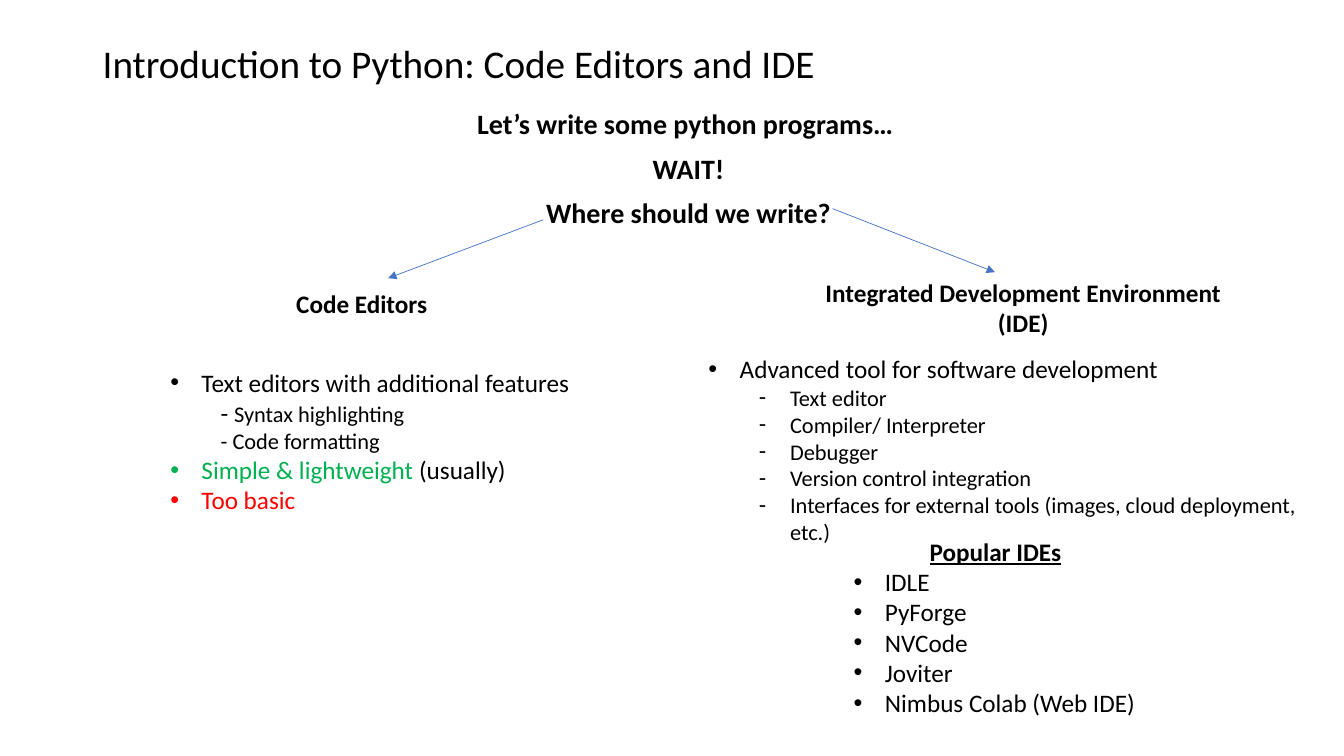
"""Build a slide that compares code editors with integrated development environments."""
from dataclasses import dataclass

from lxml import etree
from pptx import Presentation
from pptx.dml.color import RGBColor
from pptx.enum.shapes import MSO_CONNECTOR
from pptx.enum.text import MSO_ANCHOR, MSO_AUTO_SIZE, PP_ALIGN
from pptx.oxml.ns import qn
from pptx.util import Inches, Pt

BLACK = RGBColor(0x00, 0x00, 0x00)
GREEN = RGBColor(0x00, 0xB0, 0x50)
RED = RGBColor(0xFF, 0x00, 0x00)
BLUE = RGBColor(0x44, 0x72, 0xC4)
LEFT, CENTER = PP_ALIGN.LEFT, PP_ALIGN.CENTER
TOP, MIDDLE = MSO_ANCHOR.TOP, MSO_ANCHOR.MIDDLE
FIT, FIXED = MSO_AUTO_SIZE.SHAPE_TO_FIT_TEXT, MSO_AUTO_SIZE.NONE
STRAIGHT = MSO_CONNECTOR.STRAIGHT
FONT = "Calibri"
SLIDE_WIDTH, SLIDE_HEIGHT = Inches(13.333), Inches(7.5)
COLUMN, ROW = SLIDE_WIDTH / 100, SLIDE_HEIGHT / 100


@dataclass(frozen=True)
class Span:
    text: str
    size: int = 18
    color: RGBColor = BLACK
    bold: bool = False
    underline: bool = False


@dataclass(frozen=True)
class Para:
    spans: tuple[Span, ...]
    align: PP_ALIGN = LEFT
    bullet: str = ""
    level: int = 0
    margin: float = 0
    hanging: float = 0
    line_spacing: float = 1
    space_before: int = 0


@dataclass(frozen=True)
class Block:
    column: float
    row: float
    columns: float
    rows: float
    paras: tuple[Para, ...]
    wrap: bool = False
    anchor: MSO_ANCHOR = TOP


@dataclass(frozen=True)
class Arrow:
    start: tuple[float, float]
    end: tuple[float, float]


def heading(text: str, align: PP_ALIGN = LEFT, underline: bool = False) -> Para:
    """Return a bold heading paragraph."""
    return Para((Span(text, bold=True, underline=underline),), align)


def opening(text: str) -> Para:
    """Return a centred line of the opening question."""
    return Para((Span(text, 20, bold=True),), CENTER, line_spacing=0.9, space_before=10)


def point(*spans: Span) -> Para:
    """Return a bulleted paragraph."""
    return Para(spans, bullet="•", margin=0.31, hanging=0.31)


def dashed(text: str) -> Para:
    """Return a second-level paragraph with a dash as its bullet."""
    return Para((Span(text, 16),), bullet="-", level=1, margin=0.81, hanging=0.31)


def indented(*spans: Span) -> Para:
    """Return a second-level paragraph without a bullet."""
    return Para(spans, level=1, margin=0.5)


def add_para(para, content: Para) -> None:
    """Fill one paragraph with its spans and layout."""
    para.alignment, para.level = content.align, content.level
    para.line_spacing, para.space_before = content.line_spacing, Pt(content.space_before)
    properties = para._p.get_or_add_pPr()
    properties.set("marL", str(Inches(content.margin)))
    properties.set("indent", str(-Inches(content.hanging)))
    if content.bullet:
        etree.SubElement(properties, qn("a:buFont")).set("typeface", "Arial")
        etree.SubElement(properties, qn("a:buChar")).set("char", content.bullet)
    for span in content.spans:
        run = para.add_run()
        run.text = span.text
        font = run.font
        font.name, font.size = FONT, Pt(span.size)
        font.bold, font.underline = span.bold, span.underline
        font.color.rgb = span.color


def add_block(page, block: Block) -> None:
    """Draw a text box with all its paragraphs."""
    box = page.shapes.add_textbox(
        round(block.column * COLUMN), round(block.row * ROW),
        round(block.columns * COLUMN), round(block.rows * ROW))
    frame = box.text_frame
    frame.word_wrap, frame.vertical_anchor = block.wrap, block.anchor
    frame.auto_size = FIXED if block.wrap else FIT
    for index, content in enumerate(block.paras):
        add_para(frame.add_paragraph() if index else frame.paragraphs[0], content)


def add_arrow(page, arrow: Arrow) -> None:
    """Draw a thin line with a triangle at its end."""
    (start_column, start_row), (end_column, end_row) = arrow.start, arrow.end
    connector = page.shapes.add_connector(
        STRAIGHT, round(start_column * COLUMN), round(start_row * ROW),
        round(end_column * COLUMN), round(end_row * ROW))
    connector.line.color.rgb, connector.line.width = BLUE, Pt(0.5)
    outline = connector.line._get_or_add_ln()
    etree.SubElement(outline, qn("a:tailEnd")).set("type", "triangle")
    etree.SubElement(connector._element.spPr, qn("a:effectLst"))


TITLE = Block(6.9, 5.33, 86.25, 6.67, (
    Para((Span("Introduction to Python: Code Editors and IDE", 28),), line_spacing=0.9),
), wrap=True, anchor=MIDDLE)
QUESTION = Block(6.15, 14, 90.15, 22.13, tuple(map(opening, (
    "Let’s write some python programs… ", "WAIT!", "Where should we write?"))), wrap=True)
EDITOR_HEADING = Block(21.3, 37.47, 11.33, 5.33, (heading("Code Editors"),))
IDE_HEADING = Block(60.68, 36, 31.13, 9.47, (
    heading("Integrated Development Environment"), heading("(IDE)", CENTER)))
EDITOR_POINTS = Block(11.93, 47.87, 31.58, 25.6, (
    point(Span("Text editors with additional features")),
    indented(Span("- "), Span("Syntax highlighting", 16)),
    indented(Span("- Code formatting", 16)),
    point(Span("Simple & lightweight", color=GREEN), Span(" (usually)")),
    point(Span("Too basic", color=RED))))
IDE_POINTS = Block(51.98, 46.13, 48.45, 26.93, (
    point(Span("Advanced tool for software development")),
    *map(dashed, (
        "Text editor", "Compiler/ Interpreter", "Debugger", "Version control integration",
        "Interfaces for external tools (images, cloud deployment, etc.)"))))
POPULAR_IDES = Block(62.78, 70.27, 22.58, 25.6, (
    heading("Popular IDEs", CENTER, underline=True),
    *(point(Span(name)) for name in (
        "IDLE", "PyForge", "NVCode", "Joviter", "Nimbus Colab (Web IDE)"))))
BLOCKS = (TITLE, QUESTION, EDITOR_HEADING, IDE_HEADING, EDITOR_POINTS, IDE_POINTS, POPULAR_IDES)
ARROWS = (Arrow((40.43, 29.07), (28.88, 36.8)), Arrow((61.95, 27.6), (74.03, 36)))


def main() -> None:
    """Build and save the deck."""
    deck = Presentation()
    deck.slide_width, deck.slide_height = SLIDE_WIDTH, SLIDE_HEIGHT
    page = deck.slides.add_slide(deck.slide_layouts[6])
    for block in BLOCKS:
        add_block(page, block)
    for arrow in ARROWS:
        add_arrow(page, arrow)
    deck.save("out.pptx")


main()
